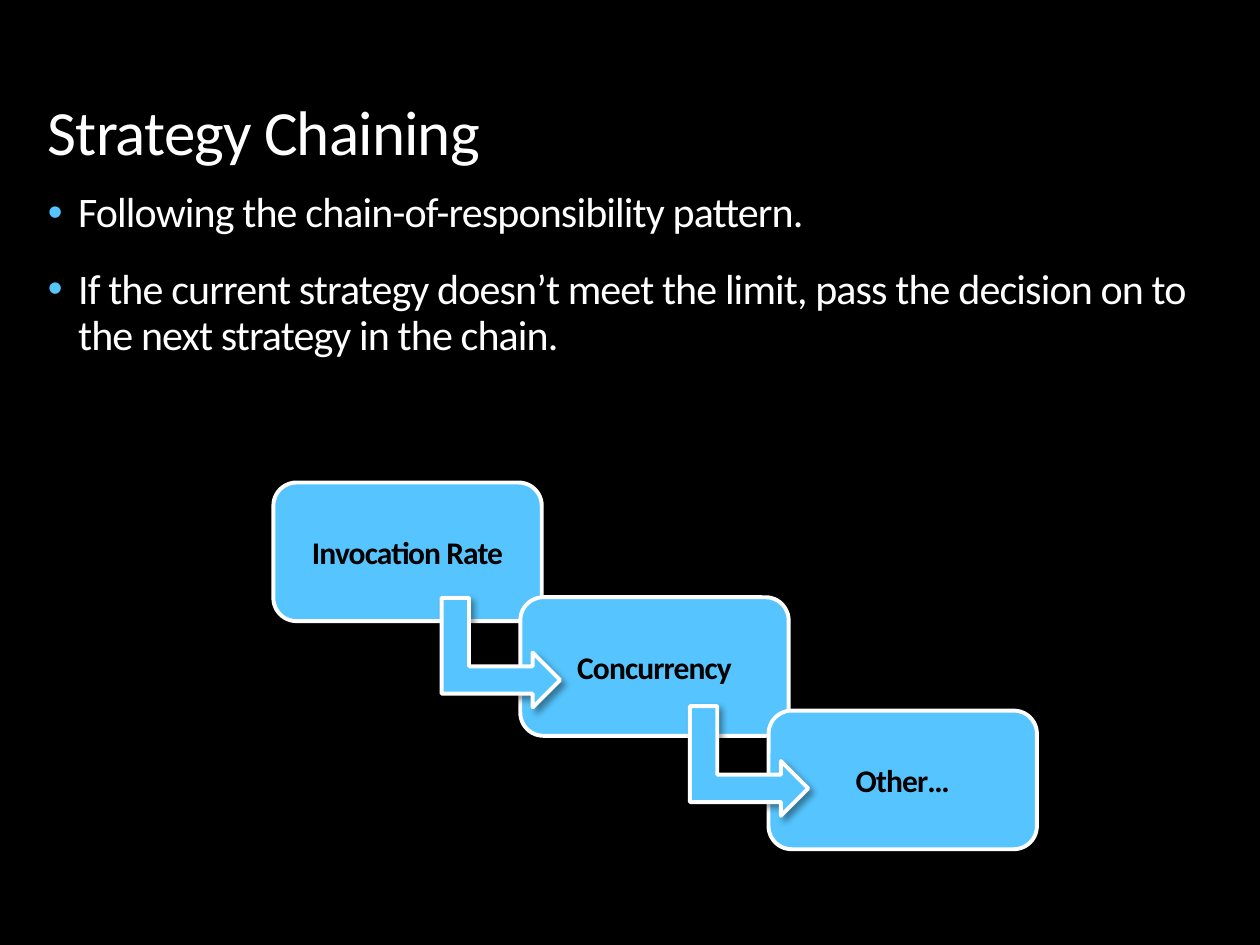
from dataclasses import dataclass

from lxml.etree import SubElement
from pptx import Presentation
from pptx.dml.color import RGBColor
from pptx.enum.shapes import MSO_SHAPE as Shape
from pptx.enum.text import MSO_ANCHOR as Anchor, MSO_AUTO_SIZE as AutoSize, PP_ALIGN as Align
from pptx.oxml.ns import qn
from pptx.util import Inches, Pt


@dataclass(frozen=True)
class Theme:
    font: str = "Calibri"
    background: str = "000000"
    text: str = "FFFFFF"
    accent: str = "56C5FF"
    box_text: str = "000000"
    title_size: float = 36
    body_size: float = 24
    box_size: float = 18
    outline: float = 2.25


@dataclass(frozen=True)
class Item:
    left: float
    top: float
    label: str = ""


THEME = Theme()
BOX_SIZE = (2.13, 1.1)
ARROW_SIZE = (0.87, 0.94)

STRATEGIES = [
    Item(2.17, 3.83, "Invocation Rate"),
    Item(4.13, 4.74, "Concurrency"),
    Item(6.1, 5.64, "Other…"),
]
ARROWS = [Item(3.54, 4.71), Item(5.51, 5.57)]
BULLETS = [
    "Following the chain-of-responsibility pattern.",
    "If the current strategy doesn’t meet the limit, pass the decision on to "
    "the next strategy in the chain.",
]


def rgb(color: str) -> RGBColor:
    return RGBColor.from_string(color)


def add_text(para, text: str, size: float, color: str, bold: bool = False) -> None:
    span = para.add_run()
    span.text = text
    span.font.name = THEME.font
    span.font.size = Pt(size)
    span.font.bold = bold
    span.font.color.rgb = rgb(color)
    span.font._element.set("spc", "-50")


def place(shape, left: float, top: float, width: float, height: float) -> None:
    shape.left, shape.top = Inches(left), Inches(top)
    shape.width, shape.height = Inches(width), Inches(height)


def add_bullet(para) -> None:
    props = para._p.get_or_add_pPr()
    props.set("marL", str(Inches(0.24)))
    props.set("indent", str(Inches(-0.24)))
    color = SubElement(props, qn("a:buClr"))
    SubElement(color, qn("a:srgbClr"), val=THEME.accent)
    SubElement(props, qn("a:buFont"), typeface="Arial")
    SubElement(props, qn("a:buChar"), char="•")


def add_shadow(shape) -> None:
    effects = SubElement(shape._element.spPr, qn("a:effectLst"))
    shadow = SubElement(
        effects, qn("a:outerShdw"), blurRad=str(Pt(4)), dist=str(Pt(3)),
        dir="2700000", algn="tl", rotWithShape="0",
    )
    color = SubElement(shadow, qn("a:srgbClr"), val="000000")
    SubElement(color, qn("a:alpha"), val="40000")


def add_block(page, kind: Shape, item: Item, size: tuple[float, float]):
    block = page.shapes.add_shape(
        kind, *map(Inches, (item.left, item.top, *size))
    )
    block.fill.solid()
    block.fill.fore_color.rgb = rgb(THEME.accent)
    block.line.color.rgb = rgb(THEME.text)
    block.line.width = Pt(THEME.outline)
    add_shadow(block)
    return block


def add_strategy(page, item: Item) -> None:
    box = add_block(page, Shape.ROUNDED_RECTANGLE, item, BOX_SIZE)
    box.text_frame.vertical_anchor = Anchor.MIDDLE
    para = box.text_frame.paragraphs[0]
    para.alignment = Align.CENTER
    add_text(para, item.label, THEME.box_size, THEME.box_text, bold=True)


def add_title(page, text: str) -> None:
    title = page.shapes.title
    place(title, 0.28, 0.13, 9.61, 1.26)
    title.text_frame.auto_size = AutoSize.NONE
    title.text_frame.vertical_anchor = Anchor.BOTTOM
    para = title.text_frame.paragraphs[0]
    para.alignment = Align.LEFT
    para.line_spacing = 0.9
    add_text(para, text, THEME.title_size, THEME.text)


def add_body(page, lines: list[str]) -> None:
    body = page.placeholders[1]
    place(body, 0.28, 1.47, 9.61, 5.91)
    frame = body.text_frame
    frame.auto_size = AutoSize.NONE
    for index, line in enumerate(lines):
        para = frame.add_paragraph() if index else frame.paragraphs[0]
        para.line_spacing = 0.9
        para.space_before = Pt(18)
        add_bullet(para)
        add_text(para, line, THEME.body_size, THEME.text)


def main() -> None:
    deck = Presentation()
    deck.slide_width, deck.slide_height = Inches(10), Inches(7.5)
    page = deck.slides.add_slide(deck.slide_layouts[1])
    page.background.fill.solid()
    page.background.fill.fore_color.rgb = rgb(THEME.background)

    # Heading and explanation
    add_title(page, "Strategy Chaining")
    add_body(page, BULLETS)

    # Chain of strategies, with an arrow from each to the next
    for strategy in STRATEGIES:
        add_strategy(page, strategy)
    for item in ARROWS:
        arrow = add_block(page, Shape.BENT_UP_ARROW, item, ARROW_SIZE)
        arrow.rotation = 90

    deck.save("out.pptx")


if __name__ == "__main__":
    main()
